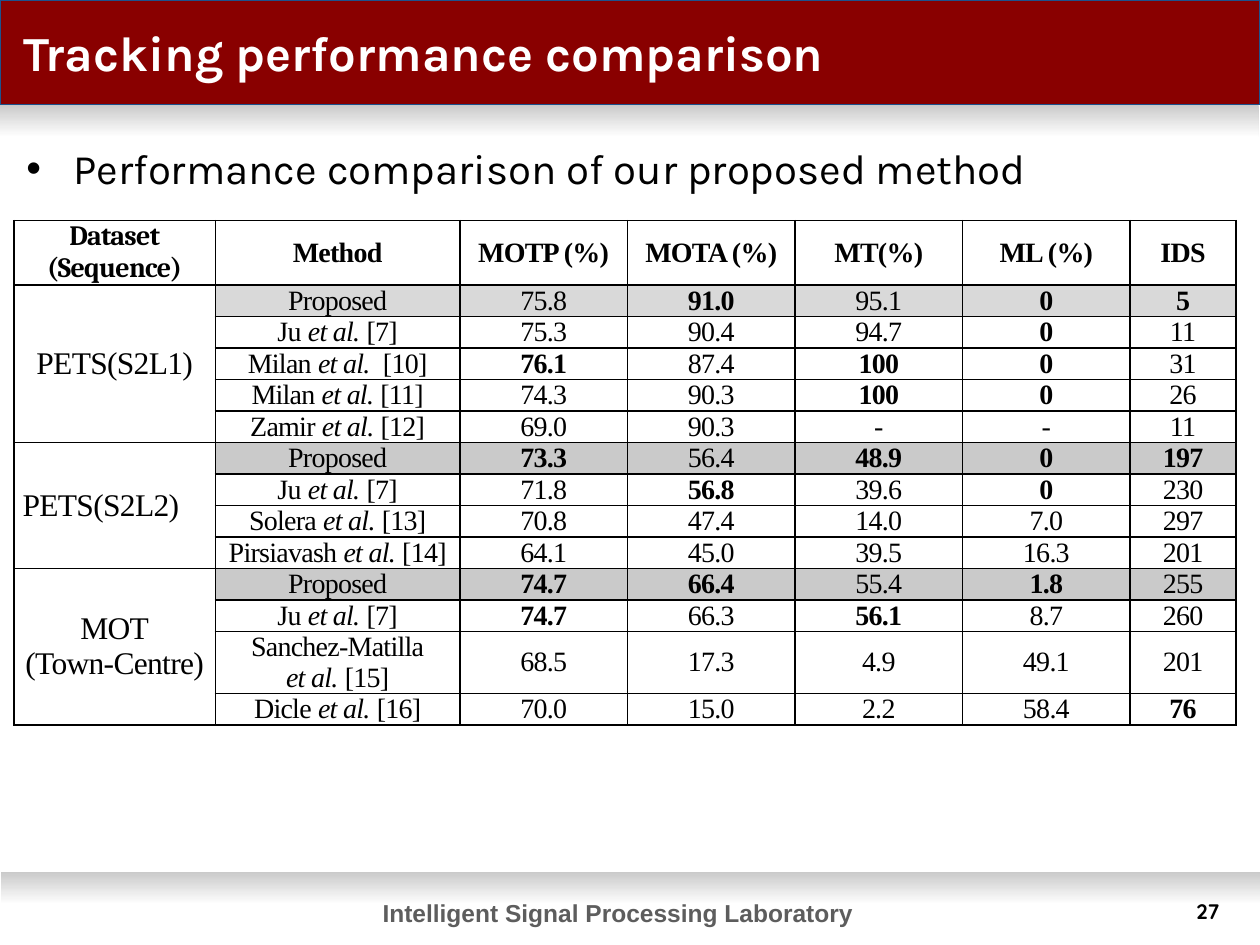
from dataclasses import dataclass

from lxml import etree
from pptx import Presentation
from pptx.dml.color import RGBColor
from pptx.enum.shapes import MSO_SHAPE
from pptx.enum.text import MSO_ANCHOR, MSO_AUTO_SIZE, PP_ALIGN
from pptx.oxml.ns import qn
from pptx.util import Inches, Pt

RECT = MSO_SHAPE.RECTANGLE
MIDDLE = MSO_ANCHOR.MIDDLE
NO_FIT = MSO_AUTO_SIZE.NONE
LEFT, CENTER, RIGHT = PP_ALIGN.LEFT, PP_ALIGN.CENTER, PP_ALIGN.RIGHT


@dataclass(frozen=True)
class Theme:
    red: str = "890000"
    blue: str = "1D528D"
    white: str = "FFFFFF"
    black: str = "000000"
    shade: str = "CACACA"
    light_shade: str = "D9D9D9"
    grey: str = "5D5D5D"
    heading_font: str = "Karla"
    table_font: str = "Times New Roman"
    title_size: int = 28
    body_size: int = 24
    group_size: int = 18
    cell_size: int = 16
    footer_size: int = 14
    number_size: int = 12


@dataclass(frozen=True)
class Result:
    """One method; scores marked with * are the best of their group."""
    method: str
    ref: str
    scores: str


@dataclass(frozen=True)
class Group:
    dataset: str
    align: PP_ALIGN
    fill: str
    results: tuple[Result, ...]


T = Theme()
HEADERS = ("Dataset\n(Sequence)", "Method", "MOTP (%)", "MOTA (%)", "MT(%)", "ML (%)", "IDS")
COL_WIDTHS = (1.6, 1.94, 1.33, 1.33, 1.33, 1.33, 0.84)
HEADER_HEIGHT, ROW_HEIGHT, TALL_ROW_HEIGHT = 0.46, 0.25, 0.39
GROUPS = (
    Group("PETS(S2L1)", CENTER, T.light_shade, (
        Result("Proposed", "", "75.8 *91.0 95.1 *0 *5"),
        Result("Ju ", "[7]", "75.3 90.4 94.7 *0 11"),
        Result("Milan ", " [10]", "*76.1 87.4 *100 *0 31"),
        Result("Milan ", "[11]", "74.3 90.3 *100 *0 26"),
        Result("Zamir ", "[12]", "69.0 90.3 - - 11"))),
    Group("PETS(S2L2)", LEFT, T.shade, (
        Result("Proposed", "", "*73.3 56.4 *48.9 *0 *197"),
        Result("Ju ", "[7]", "71.8 *56.8 39.6 *0 230"),
        Result("Solera ", "[13]", "70.8 47.4 14.0 7.0 297"),
        Result("Pirsiavash ", "[14]", "64.1 45.0 39.5 16.3 201"))),
    Group("MOT\n(Town-Centre)", CENTER, T.shade, (
        Result("Proposed", "", "*74.7 *66.4 55.4 *1.8 255"),
        Result("Ju ", "[7]", "*74.7 66.3 *56.1 8.7 260"),
        Result("Sanchez-Matilla\n", "[15]", "68.5 17.3 4.9 49.1 201"),
        Result("Dicle ", "[16]", "70.0 15.0 2.2 58.4 *76"))),
)


def rgb(color: str) -> RGBColor:
    return RGBColor.from_string(color)


def style_run(r, font: str, size: int, color: str, bold: bool = False) -> None:
    r.font.name, r.font.size, r.font.bold = font, Pt(size), bold
    r.font.color.rgb = rgb(color)


def place(sp, left: float, top: float, width: float, height: float) -> None:
    sp.left, sp.top, sp.width, sp.height = map(Inches, (left, top, width, height))


def add_band(s, left: float, top: float, width: float, height: float):
    sp = s.shapes.add_shape(RECT, *map(Inches, (left, top, width, height)))
    sp.shadow.inherit = False
    return sp


def add_shadow_strip(s, left: float, top: float) -> None:
    sp = add_band(s, left, top, 9.99, 0.26)
    sp.fill.gradient()
    sp.fill.gradient_angle = 270
    for stop, color in zip(sp.fill.gradient_stops, (T.shade, T.white)):
        stop.color.rgb = rgb(color)
    sp.line.fill.background()


def add_label(s, text: str, box: tuple, align: PP_ALIGN, font: str, size: int, color: str):
    sp = s.shapes.add_textbox(*map(Inches, box))
    tf = sp.text_frame
    tf.word_wrap = True
    tf.text = text
    p = tf.paragraphs[0]
    p.alignment = align
    style_run(p.runs[0], font, size, color, True)
    return tf


def fill_placeholder(sp, text: str, box: tuple, size: int, color: str, bold: bool):
    place(sp, *box)
    tf = sp.text_frame
    tf.auto_size = NO_FIT
    tf.text = text
    p = tf.paragraphs[0]
    p.alignment = LEFT
    p.space_before = Pt(0)
    style_run(p.runs[0], T.heading_font, size, color, bold)
    return tf


def add_borders(cell) -> None:
    tc_pr = cell._tc.get_or_add_tcPr()
    for i, side in enumerate(("lnL", "lnR", "lnT", "lnB")):
        ln = etree.Element(qn(f"a:{side}"), w=str(Pt(1)))
        fill = etree.SubElement(ln, qn("a:solidFill"))
        etree.SubElement(fill, qn("a:srgbClr"), val=T.black)
        tc_pr.insert(i, ln)


def write_cell(cell, text: str, size: int = T.cell_size, bold: bool = False,
               align: PP_ALIGN = CENTER, font: str = T.table_font, side: float = 0.01) -> None:
    cell.margin_left = cell.margin_right = Inches(side)
    cell.vertical_anchor = MIDDLE
    cell.text_frame.text = text
    for p in cell.text_frame.paragraphs:
        p.alignment = align
        for r in p.runs:
            style_run(r, font, size, T.black, bold)
            r._r.get_or_add_rPr().set("spc", "-40")


def write_method(cell, result: Result) -> None:
    write_cell(cell, result.method)
    if not result.ref:
        return
    p = cell.text_frame.paragraphs[-1]
    for text, italic in (("et al. ", True), (result.ref, False)):
        r = p.add_run()
        r.text = text
        style_run(r, T.table_font, T.cell_size, T.black)
        r.font.italic = italic
        r._r.get_or_add_rPr().set("spc", "-40")


def add_results_table(s) -> None:
    results = [result for group in GROUPS for result in group.results]
    heights = [HEADER_HEIGHT] + [TALL_ROW_HEIGHT if "\n" in result.method else ROW_HEIGHT
                                 for result in results]
    table = s.shapes.add_table(len(heights), len(HEADERS), Inches(0.11), Inches(1.75),
                               Inches(sum(COL_WIDTHS)), Inches(sum(heights))).table
    table.first_row = table.horz_banding = False
    for col, width in zip(table.columns, COL_WIDTHS):
        col.width = Inches(width)
    for row, height in zip(table.rows, heights):
        row.height = Inches(height)
    for cell in table.iter_cells():
        cell.margin_top = cell.margin_bottom = 0
        cell.fill.background()
        add_borders(cell)

    for c, header in enumerate(HEADERS):
        font = T.table_font if c else "Cambria"
        write_cell(table.cell(0, c), header, bold=True, font=font, side=0.07)

    top = 1
    for group in GROUPS:
        last = top + len(group.results) - 1
        table.cell(top, 0).merge(table.cell(last, 0))
        write_cell(table.cell(top, 0), group.dataset, T.group_size, align=group.align, side=0.07)
        for row, result in enumerate(group.results, top):
            write_method(table.cell(row, 1), result)
            for c, score in enumerate(result.scores.split(), 2):
                write_cell(table.cell(row, c), score.lstrip("*"), bold=score.startswith("*"))
        for c in range(1, len(HEADERS)):
            cell = table.cell(top, c)
            cell.fill.solid()
            cell.fill.fore_color.rgb = rgb(group.fill)
        top = last + 1


def main() -> None:
    prs = Presentation()
    prs.slide_width, prs.slide_height = Inches(10), Inches(7.5)
    s = prs.slides.add_slide(prs.slide_layouts[1])
    title, body = s.shapes.title, s.placeholders[1]

    band = add_band(s, 0, 0, 10, 0.83)
    band.fill.solid()
    band.fill.fore_color.rgb = rgb(T.red)
    band.line.color.rgb = rgb(T.blue)
    band.line.width = Pt(0.75)
    add_shadow_strip(s, 0.01, 6.92)
    add_shadow_strip(s, 0, 0.83)
    add_label(s, "Intelligent Signal Processing Laboratory", (2.93, 7.08, 3.95, 0.34),
              CENTER, "Arial", T.footer_size, T.grey)
    number = add_label(s, "27", (9.25, 7.08, 0.67, 0.27),
                       RIGHT, "Quicksand", T.number_size, T.black)
    number.margin_right = Inches(0.24)

    fill_placeholder(body, "Performance comparison of our proposed method",
                     (0.11, 1.08, 9.72, 5.73), T.body_size, T.black, False)
    tf = fill_placeholder(title, "Tracking performance comparison",
                          (0.09, 0, 9.91, 0.83), T.title_size, T.white, True)
    tf.vertical_anchor = MIDDLE
    for sp in (body, title):  # bring the text in front of the bands
        s.shapes._spTree.append(sp._element)
    add_results_table(s)
    prs.save("out.pptx")


if __name__ == "__main__":
    main()
